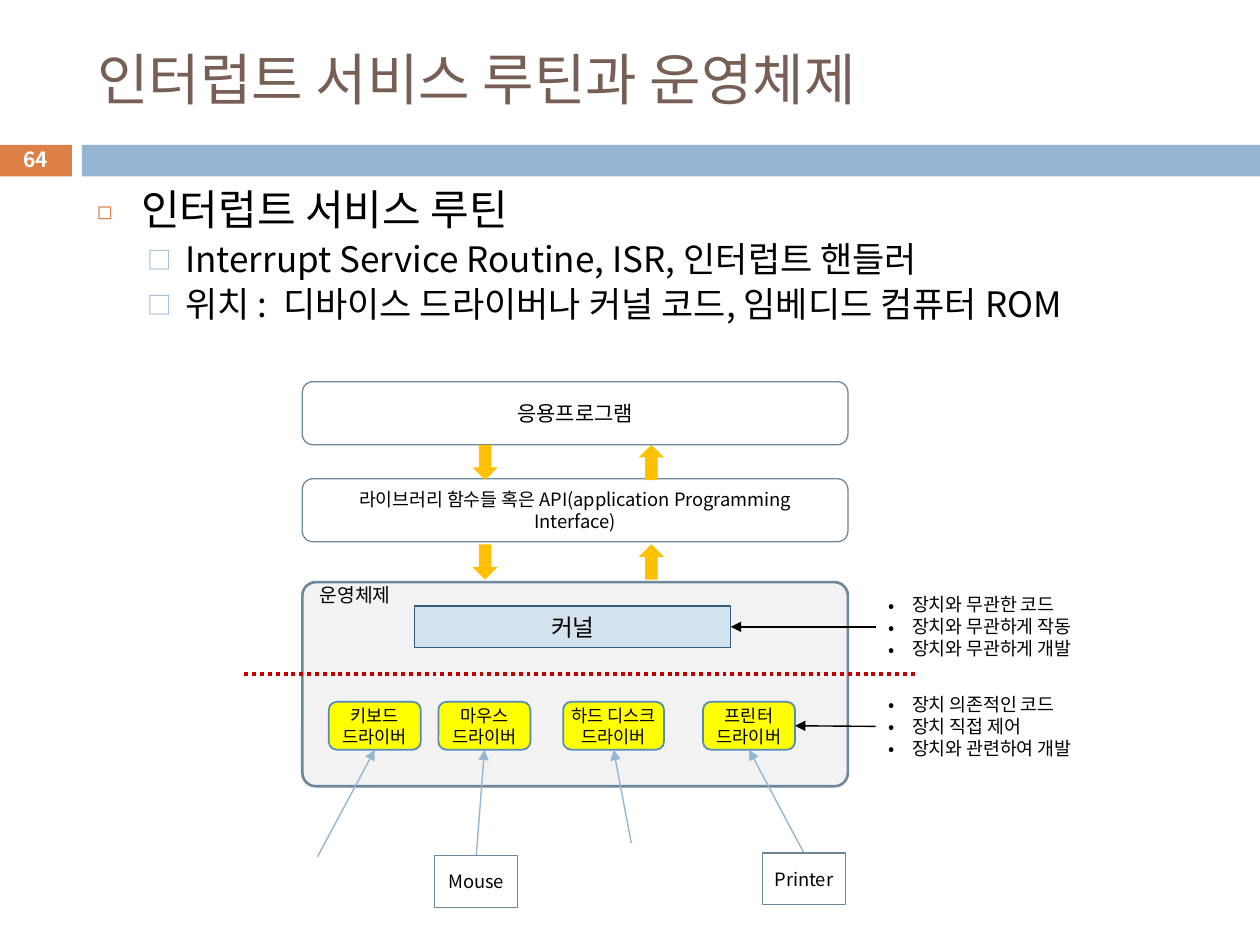
"""Build the slide on interrupt service routines and the operating system."""
import lxml.etree
import pptx
import pptx.dml.color
import pptx.enum.dml
import pptx.enum.shapes
import pptx.enum.text
import pptx.oxml.ns
import pptx.util

Inches, Pt = pptx.util.Inches, pptx.util.Pt
Kind = pptx.enum.shapes.MSO_SHAPE
Align = pptx.enum.text.PP_ALIGN
Mid = pptx.enum.text.MSO_ANCHOR.MIDDLE
Top = pptx.enum.text.MSO_ANCHOR.TOP
qn = pptx.oxml.ns.qn

THEME = {
    "font": "Noto Sans CJK KR",
    "ink": "000000", "white": "FFFFFF", "title": "775F55",
    "orange": "DD8047", "blue": "94B6D2", "edge": "6D879B",
    "gray": "F2F2F2", "gold": "FFC000", "yellow": "FFFF00",
    "rim": "558BB8", "pale": "D4E2ED", "navy": "355D7E", "red": "C00000",
    "size": {"title": 32, "head": 24, "sub": 20, "page": 11.9, "core": 13.5,
             "app": 12, "system": 11, "small": 10.5, "driver": 10},
}
SIZE = THEME["size"]

TITLE = "인터럽트 서비스 루틴과 운영체제"
BODY = [
    (0, "인터럽트 서비스 루틴"),
    (1, "Interrupt Service Routine, ISR, 인터럽트 핸들러"),
    (1, "위치 :  디바이스 드라이버나 커널 코드, 임베디드 컴퓨터 ROM"),
]
LEVELS = [
    {"mark": "◻", "tint": "orange", "pct": 60, "left": 0.35, "hang": 0.35, "size": "head"},
    {"mark": "□", "tint": "blue", "pct": 70, "left": 0.7, "hang": 0.3, "size": "sub"},
]
BARS = [(-0.01, 0.58, "orange"), (0.65, 9.35, "blue")]
LAYERS = [
    (3.03, "응용프로그램", "app"),
    (3.8, "라이브러리 함수들 혹은 API(application Programming Interface)", "small"),
]
FLOWS = [(5.07, Kind.UP_ARROW), (3.75, Kind.DOWN_ARROW)]
GAPS = [3.53, 4.32]
DRIVERS = [
    ("키보드", 2.61, 0.73), ("마우스", 3.48, 0.73),
    ("하드 디스크", 4.47, 0.8), ("프린터", 5.58, 0.73),
]
DEVICES = [
    (None, 2.52, 6.8), ("Mouse", 3.45, 6.79),
    (None, 5.01, 6.69), ("Printer", 6.05, 6.77),
]
NOTES = [
    (4.66, ["장치와 무관한 코드", "장치와 무관하게 작동", "장치와 무관하게 개발"]),
    (5.45, ["장치 의존적인 코드", "장치 직접 제어", "장치와 관련하여 개발"]),
]


def color(name):
    return pptx.dml.color.RGBColor.from_string(THEME[name])


def style(para, size, tint="ink", bold=False):
    for run in para.runs:
        run.font.name = THEME["font"]
        run.font.size = Pt(SIZE[size])
        run.font.bold = bold
        run.font.color.rgb = color(tint)
        east = lxml.etree.Element(qn("a:ea"), typeface=THEME["font"])
        run.font._element.find(qn("a:latin")).addnext(east)


def bullet(para, mark, left, hang, tint=None, pct=None):
    props = para._p.get_or_add_pPr()
    props.set("marL", str(Inches(left)))
    props.set("indent", str(-Inches(hang)))
    if tint:
        shade = lxml.etree.SubElement(props, qn("a:buClr"))
        lxml.etree.SubElement(shade, qn("a:srgbClr"), val=THEME[tint])
    if pct:
        lxml.etree.SubElement(props, qn("a:buSzPct"), val=str(pct * 1000))
    lxml.etree.SubElement(props, qn("a:buFont"), typeface=THEME["font"])
    lxml.etree.SubElement(props, qn("a:buChar"), char=mark)


def write(shape, text, size, tint="ink", align=Align.CENTER, anchor=Mid,
          inset=None, bold=False):
    frame = shape.text_frame
    frame.text = text
    frame.word_wrap = True
    frame.auto_size = pptx.enum.text.MSO_AUTO_SIZE.NONE
    frame.vertical_anchor = anchor
    if inset is not None:
        frame.margin_left = frame.margin_right = Inches(inset)
        frame.margin_top = frame.margin_bottom = Inches(inset)
    for para in frame.paragraphs:
        para.alignment = align
        style(para, size, tint, bold)
    return frame.paragraphs


def place(shape, *box):
    shape.left, shape.top, shape.width, shape.height = map(Inches, box)


def draw(slide, kind, box, fill=None, edge=None, weight=0.75):
    shape = slide.shapes.add_shape(kind, *map(Inches, box))
    shape.shadow.inherit = False
    if fill:
        shape.fill.solid()
        shape.fill.fore_color.rgb = color(fill)
    else:
        shape.fill.background()
    if edge:
        shape.line.color.rgb = color(edge)
        shape.line.width = Pt(weight)
    else:
        shape.line.fill.background()
    return shape


def link(slide, start, end, tint, weight=0.79, arrow=True):
    line = slide.shapes.add_connector(
        pptx.enum.shapes.MSO_CONNECTOR.STRAIGHT, *map(Inches, start + end))
    line.line.color.rgb = color(tint)
    line.line.width = Pt(weight)
    props = line._element.spPr
    if arrow:
        lxml.etree.SubElement(props.find(qn("a:ln")), qn("a:tailEnd"), type="triangle")
    lxml.etree.SubElement(props, qn("a:effectLst"))
    return line


def add_head(slide):
    for left, width, fill in BARS:
        draw(slide, Kind.RECTANGLE, (left, 1.15, width, 0.25), fill)
    title, body = slide.shapes.title, slide.placeholders[1]
    place(title, 0.67, 0.25, 8.92, 0.74)
    write(title, TITLE, "title", "title", Align.LEFT)
    place(body, 0.67, 1.47, 8.92, 1.57)
    text = "\n".join(item for _, item in BODY)
    paras = write(body, text, "head", align=Align.LEFT, anchor=Top)
    for para, (depth, _) in zip(paras, BODY):
        look = LEVELS[depth]
        para.level = depth
        bullet(para, look["mark"], look["left"], look["hang"], look["tint"], look["pct"])
        para.space_before = Pt(5.5 if depth else 0)
        para.line_spacing = 0.85
        for run in para.runs:
            run.font.size = Pt(SIZE[look["size"]])
    page = slide.shapes.add_textbox(*map(Inches, (-0.01, 1.13, 0.58, 0.27)))
    write(page, "64", "page", "white", inset=0, bold=True)


def add_stack(slide):
    system = draw(slide, Kind.ROUNDED_RECTANGLE, (2.4, 4.62, 4.33, 1.62), "gray", "edge", 1.5)
    system.adjustments[0] = 0.066
    for top, text, size in LAYERS:
        layer = draw(slide, Kind.ROUNDED_RECTANGLE, (2.4, top, 4.33, 0.5), None, "edge")
        write(layer, text, size)
    for left, kind in FLOWS:
        for top in GAPS:
            draw(slide, kind, (left, top, 0.2, 0.28), "gold")
    label = slide.shapes.add_textbox(*map(Inches, (2.41, 4.58, 0.82, 0.29)))
    write(label, "운영체제", "system", anchor=Top)
    core = draw(slide, Kind.RECTANGLE, (3.29, 4.81, 2.51, 0.33), "pale", "navy")
    write(core, "커널", "core", inset=0)
    return core


def add_drivers(slide):
    for (name, left, width), (device, x, y) in zip(DRIVERS, DEVICES):
        driver = draw(slide, Kind.ROUNDED_RECTANGLE, (left, 5.57, width, 0.38),
                      "yellow", "rim", 1)
        write(driver, name + "\n드라이버", "driver", inset=0)
        line = link(slide, (x, y), (left + width / 2, 5.95), "blue")
        line.end_connect(driver, 2)
        if device:
            box = draw(slide, Kind.FLOWCHART_PROCESS, (x, y, 0.66, 0.41), None, "edge")
            write(box, device, "small", inset=0)
            line.begin_connect(box, 0)
    return driver


def add_notes(slide, goals):
    for (top, items), goal in zip(NOTES, goals):
        note = slide.shapes.add_textbox(*map(Inches, (6.95, top, 1.85, 0.63)))
        for para in write(note, "\n".join(items), "small", align=Align.LEFT, anchor=Top):
            bullet(para, "•", 0.19, 0.19)
        line = link(slide, (6.95, top), (6, top), "ink")
        line.begin_connect(note, 1)
        line.end_connect(goal, 3)
    split = link(slide, (1.94, 5.35), (7.26, 5.35), "red", 2.25, arrow=False)
    split.line.dash_style = pptx.enum.dml.MSO_LINE.ROUND_DOT


def main():
    deck = pptx.Presentation()
    deck.slide_width, deck.slide_height = Inches(10), Inches(7.5)
    slide = deck.slides.add_slide(deck.slide_layouts[1])
    add_head(slide)
    core = add_stack(slide)
    driver = add_drivers(slide)
    add_notes(slide, [core, driver])
    deck.save("out.pptx")


if __name__ == "__main__":
    main()
